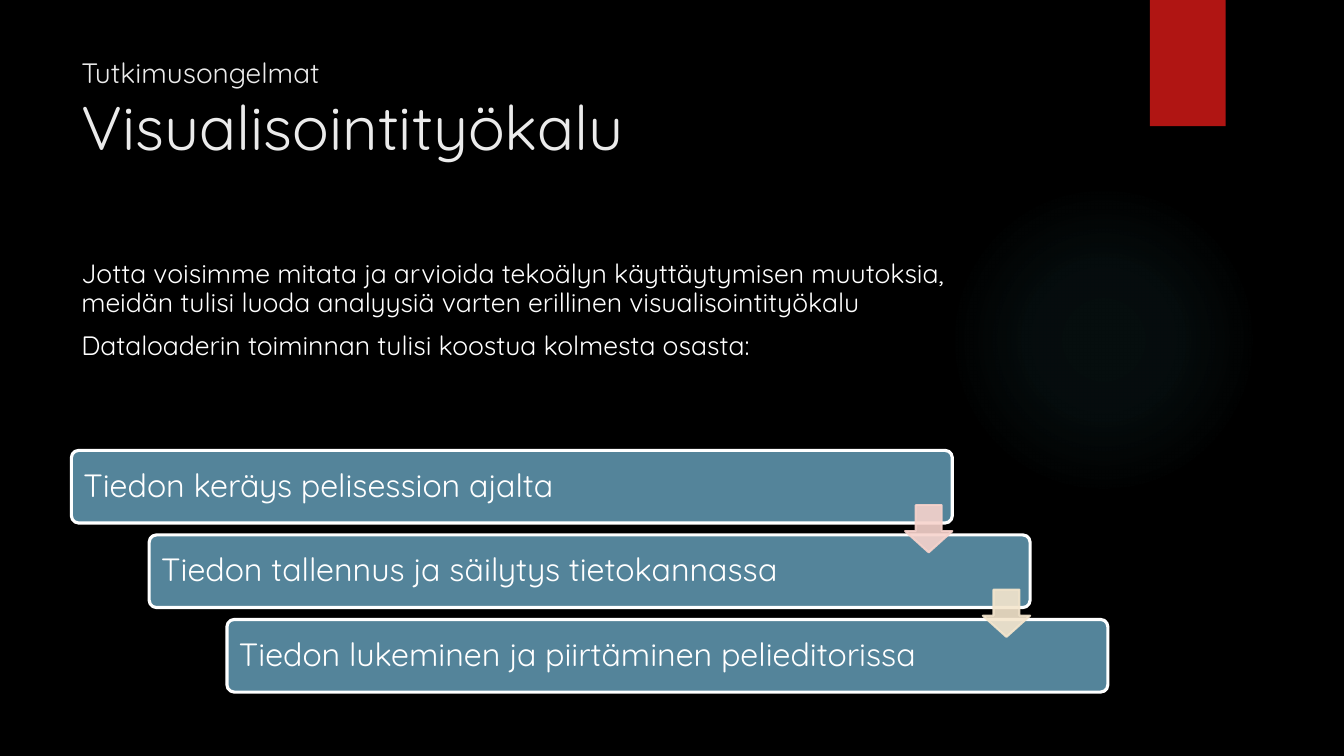
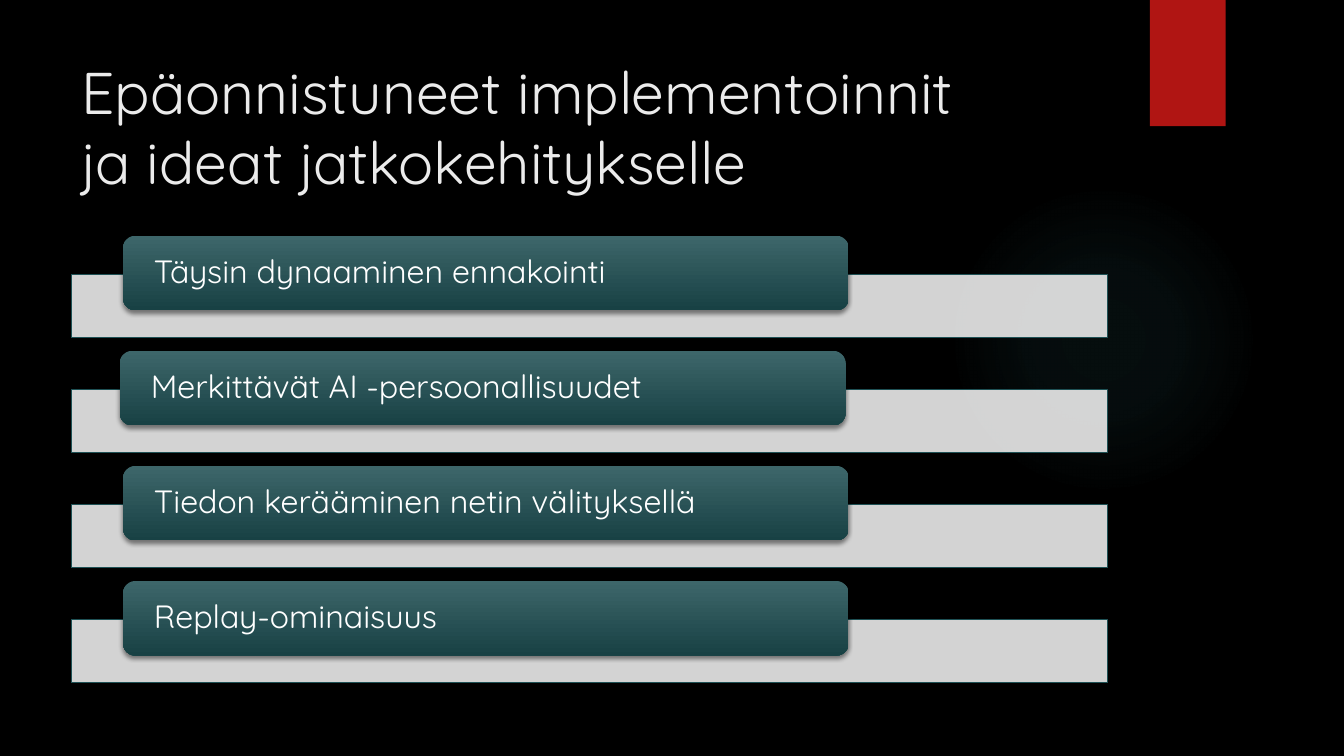
"""Build two dark slides: a three-step tool pipeline and a list of development ideas."""
from dataclasses import dataclass

import pptx
import pptx.dml.color
import pptx.enum.shapes
import pptx.enum.text
import pptx.oxml
import pptx.oxml.ns
import pptx.util
from pptx.util import Cm

SHAPES = pptx.enum.shapes.MSO_SHAPE
ANCHOR = pptx.enum.text.MSO_ANCHOR
ALIGN = pptx.enum.text.PP_ALIGN
AUTO_SIZE = pptx.enum.text.MSO_AUTO_SIZE
qn = pptx.oxml.ns.qn


@dataclass(frozen=True)
class Theme:
    font: str = "Quicksand"
    background: str = "000000"
    ribbon: str = "B01513"
    glow: str = "50B9C1"
    title: str = "EBEBEB"
    text: str = "FFFFFF"
    step: str = "54849A"
    arrows: tuple[str, ...] = ("F7D3CC", "F5E6CD")
    bar: str = "EBEBEB"
    bar_line: str = "1E5155"
    label_top: str = "3D666A"
    label_bottom: str = "184144"
    kicker_size: float = 20
    title_size: float = 44
    long_title_size: float = 42
    body_size: float = 19
    label_size: float = 23


@dataclass(frozen=True)
class Box:
    left: float
    top: float
    width: float
    height: float

    def moved(self, dx: float, dy: float) -> "Box":
        return Box(self.left + dx, self.top + dy, self.width, self.height)

    def lengths(self) -> tuple[Cm, ...]:
        return Cm(self.left), Cm(self.top), Cm(self.width), Cm(self.height)


@dataclass(frozen=True)
class Stop:
    position: int
    color: str
    alpha: int = 100


@dataclass(frozen=True)
class Paint:
    fill: str = ""
    fill_alpha: int = 100
    line: str = ""
    line_width: float = 0
    line_alpha: int = 100
    stops: tuple[Stop, ...] = ()
    radial: bool = False
    shadow: bool = False


@dataclass(frozen=True)
class TitleLine:
    text: str
    size: float


THEME = Theme()
LEFT = 1.8
TITLE_BOX = Box(LEFT, 1.27, 26.14, 3.89)
BODY_BOX = Box(LEFT, 6.45, 22.68, 6.91)
GLOW_BOX = Box(23.9, 4.65, 7.82, 7.82)
RIBBON_BOX = Box(28.98, 0, 1.91, 3.18)
STEP_BOX = Box(LEFT, 11.35, 22.2, 1.83)
ARROW_BOX = Box(22.81, 12.73, 1.19, 1.19)
STEP_DX, STEP_DY = 1.96, 2.13
BAR_BOX = Box(LEFT, 6.91, 26.11, 1.6)
LABEL_BOX = Box(3.1, 5.94, 18.29, 1.88)
BAR_DY = 2.9

GLOW = Paint(
    stops=(Stop(0, THEME.glow, 7), Stop(36, THEME.glow, 6), Stop(69, THEME.glow, 0)),
    radial=True,
)
RIBBON = Paint(fill=THEME.ribbon, shadow=True)
STEP = Paint(fill=THEME.step, line=THEME.text, line_width=2.25)
BAR = Paint(fill=THEME.bar, fill_alpha=90, line=THEME.bar_line, line_width=0.75)
LABEL = Paint(stops=(Stop(0, THEME.label_top), Stop(100, THEME.label_bottom)), shadow=True)

STEPS = (
    "Tiedon keräys pelisession ajalta",
    "Tiedon tallennus ja säilytys tietokannassa",
    "Tiedon lukeminen ja piirtäminen pelieditorissa",
)
IDEAS = (
    ("Täysin dynaaminen ennakointi", 0),
    ("Merkittävät AI -persoonallisuudet", -0.08),
    ("Tiedon kerääminen netin välityksellä", 0),
    ("Replay-ominaisuus", 0),
)
BODY = (
    "Jotta voisimme mitata ja arvioida tekoälyn käyttäytymisen muutoksia, "
    "meidän tulisi luoda analyysiä varten erillinen visualisointityökalu",
    "Dataloaderin toiminnan tulisi koostua kolmesta osasta:",
)


def rgb(color: str) -> pptx.dml.color.RGBColor:
    return pptx.dml.color.RGBColor.from_string(color)


def xml(markup: str):
    head, tail = markup.split(">", 1)
    slash = "/" if head.endswith("/") else ""
    return pptx.oxml.parse_xml(f"{head.rstrip('/')} {pptx.oxml.ns.nsdecls('a')}{slash}>{tail}")


def gradient(paint: Paint):
    stops = "".join(
        f'<a:gs pos="{stop.position * 1000}"><a:srgbClr val="{stop.color}">'
        f'<a:alpha val="{stop.alpha * 1000}"/></a:srgbClr></a:gs>'
        for stop in paint.stops
    )
    if paint.radial:
        direction = '<a:path path="circle"><a:fillToRect l="50000" t="50000" r="50000" b="50000"/></a:path>'
    else:
        direction = '<a:lin ang="5400000" scaled="0"/>'
    return xml(f'<a:gradFill rotWithShape="1"><a:gsLst>{stops}</a:gsLst>{direction}</a:gradFill>')


def add_shape(s, kind, box: Box, paint: Paint, adjustments: tuple[float, ...] = ()):
    sp = s.shapes.add_shape(kind, *box.lengths())
    for i, value in enumerate(adjustments):
        sp.adjustments[i] = value
    sp.shadow.inherit = False
    props = sp.element.spPr
    if paint.stops:
        sp.fill.background()
        props.replace(props.find(qn("a:noFill")), gradient(paint))
    else:
        sp.fill.solid()
        sp.fill.fore_color.rgb = rgb(paint.fill)
    if paint.line:
        sp.line.color.rgb = rgb(paint.line)
        sp.line.width = pptx.util.Pt(paint.line_width)
    else:
        sp.line.fill.background()
    solid = f"{qn('a:solidFill')}/{qn('a:srgbClr')}"
    for route, alpha in ((solid, paint.fill_alpha), (f"{qn('a:ln')}/{solid}", paint.line_alpha)):
        if alpha < 100:
            props.find(route).append(xml(f'<a:alpha val="{alpha * 1000}"/>'))
    if paint.shadow:
        props.find(qn("a:effectLst")).append(xml(
            '<a:outerShdw blurRad="38100" dist="25400" dir="5400000" rotWithShape="0">'
            '<a:srgbClr val="000000"><a:alpha val="45000"/></a:srgbClr></a:outerShdw>'
        ))
    return sp


def set_font(p, size: float, color: str) -> None:
    p.font.name = THEME.font
    p.font.size = pptx.util.Pt(size)
    p.font.color.rgb = rgb(color)


def add_label(sp, text: str, side: float, edge: float) -> None:
    tf = sp.text_frame
    tf.word_wrap = True
    tf.vertical_anchor = ANCHOR.MIDDLE
    tf.margin_left = tf.margin_right = Cm(side)
    tf.margin_top = tf.margin_bottom = Cm(edge)
    p = tf.paragraphs[0]
    p.text = text
    p.alignment = ALIGN.LEFT
    p.line_spacing = 0.9
    set_font(p, THEME.label_size, THEME.text)


def add_text_frame(s, box: Box):
    tf = s.shapes.add_textbox(*box.lengths()).text_frame
    tf.word_wrap = True
    return tf


def add_body(s, texts: tuple[str, ...]) -> None:
    tf = add_text_frame(s, BODY_BOX)
    for i, text in enumerate(texts):
        p = tf.add_paragraph() if i else tf.paragraphs[0]
        p.text = text
        p.line_spacing = 0.9
        if i:
            p.space_before = pptx.util.Pt(10)
        set_font(p, THEME.body_size, THEME.text)


def add_slide(prs, title: tuple[TitleLine, ...]):
    s = prs.slides.add_slide(prs.slide_layouts[6])
    s.background.fill.solid()
    s.background.fill.fore_color.rgb = rgb(THEME.background)
    add_shape(s, SHAPES.OVAL, GLOW_BOX, GLOW)
    add_shape(s, SHAPES.RECTANGLE, RIBBON_BOX, RIBBON)
    tf = add_text_frame(s, TITLE_BOX)
    tf.auto_size = AUTO_SIZE.TEXT_TO_FIT_SHAPE
    p = tf.paragraphs[0]
    set_font(p, title[0].size, THEME.title)
    for i, line in enumerate(title):
        if i:
            p.add_line_break()
        r = p.add_run()
        r.text = line.text
        if line.size != title[0].size:
            r.font.size = pptx.util.Pt(line.size)
    return s


def add_tool_slide(prs) -> None:
    s = add_slide(prs, (
        TitleLine("Tutkimusongelmat", THEME.kicker_size),
        TitleLine("Visualisointityökalu", THEME.title_size),
    ))
    for i, text in enumerate(STEPS):
        box = STEP_BOX.moved(i * STEP_DX, i * STEP_DY)
        sp = add_shape(s, SHAPES.ROUNDED_RECTANGLE, box, STEP, (0.1,))
        add_label(sp, text, 0.25, 0.25)
    for i, color in enumerate(THEME.arrows):
        paint = Paint(fill=color, fill_alpha=90, line=color, line_width=1.5, line_alpha=90)
        box = ARROW_BOX.moved(i * STEP_DX, i * STEP_DY)
        add_shape(s, SHAPES.DOWN_ARROW, box, paint, (0.55, 0.45))
    add_body(s, BODY)


def add_ideas_slide(prs) -> None:
    s = add_slide(prs, (
        TitleLine("Epäonnistuneet implementoinnit", THEME.long_title_size),
        TitleLine("ja ideat jatkokehitykselle", THEME.long_title_size),
    ))
    for i, (text, shift) in enumerate(IDEAS):
        add_shape(s, SHAPES.RECTANGLE, BAR_BOX.moved(0, i * BAR_DY), BAR)
        sp = add_shape(s, SHAPES.ROUNDED_RECTANGLE, LABEL_BOX.moved(shift, i * BAR_DY), LABEL)
        add_label(sp, text, 0.69, 0)


def main() -> None:
    prs = pptx.Presentation()
    prs.slide_width, prs.slide_height = Cm(33.87), Cm(19.05)
    add_tool_slide(prs)
    add_ideas_slide(prs)
    prs.save("out.pptx")


if __name__ == "__main__":
    main()
